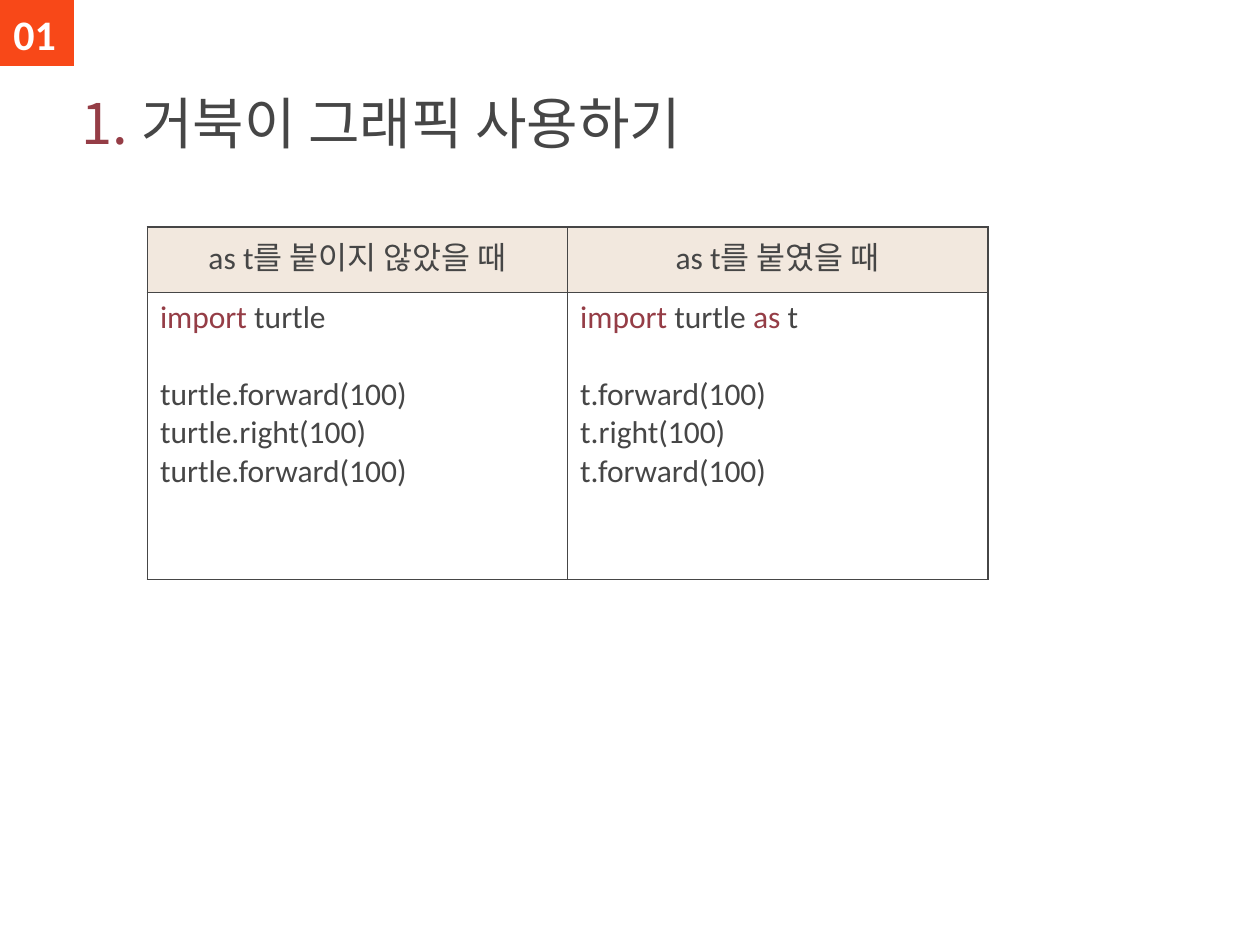
from typing import NamedTuple

from pptx import Presentation
from pptx.dml.color import RGBColor
from pptx.enum.shapes import MSO_SHAPE
from pptx.enum.text import MSO_ANCHOR, PP_ALIGN
from pptx.oxml.ns import qn
from pptx.util import Inches, Pt
from lxml import etree

CENTER = PP_ALIGN.CENTER
BOTTOM = MSO_ANCHOR.BOTTOM
PROCESS = MSO_SHAPE.FLOWCHART_PROCESS

LATIN, KOREAN = "Calibri", "Noto Sans CJK KR"
TEXT, ACCENT, ORANGE, BEIGE, WHITE = "464646", "953D46", "F84818", "F2E8DE", "FFFFFF"
KEYWORDS = ("import", "as")
TITLE_ONLY = 5
CODE_SIZE = 18
BLANK_LINE = Pt(22)


class Example(NamedTuple):
    heading: str
    import_line: list[str]
    calls: list[str]


EXAMPLES = [
    Example("as t를 붙이지 않았을 때", ["import", " turtle"],
            ["turtle.forward(100)", "turtle.right(100)", "turtle.forward(100)"]),
    Example("as t를 붙였을 때", ["import", " turtle ", "as", " t"],
            ["t.forward(100)", "t.right(100)", "t.forward(100)"]),
]


def rgb(value: str) -> RGBColor:
    return RGBColor.from_string(value)


def add_run(p, text: str, size: float, color: str = TEXT, font: str = LATIN, bold: bool = False) -> None:
    """Add a run with its Latin and East Asian fonts."""
    r = p.add_run()
    r.text = text
    r.font.name = font
    r.font.size = Pt(size)
    r.font.bold = bold
    r.font.color.rgb = rgb(color)
    etree.SubElement(r.font._element, qn("a:ea"), typeface=KOREAN)


def add_borders(cell) -> None:
    tc_pr = cell._tc.get_or_add_tcPr()
    for side in ("lnL", "lnR", "lnT", "lnB"):
        ln = etree.SubElement(tc_pr, qn(f"a:{side}"), w=str(Pt(1)))
        fill = etree.SubElement(ln, qn("a:solidFill"))
        etree.SubElement(fill, qn("a:srgbClr"), val=TEXT)


def add_title(s) -> None:
    title = s.shapes.title
    title.left, title.top = Inches(0.55), Inches(0.41)
    title.width, title.height = Inches(8.87), Inches(0.88)
    tf = title.text_frame
    tf.vertical_anchor = BOTTOM
    p = tf.paragraphs[0]
    p.alignment = PP_ALIGN.LEFT
    add_run(p, "1. ", 32, ACCENT, KOREAN)
    add_run(p, "거북이 그래픽 사용하기", 32, TEXT, KOREAN)


def add_badge(s, number: str) -> None:
    sp = s.shapes.add_shape(PROCESS, 0, 0, Inches(0.59), Inches(0.52))
    sp.shadow.inherit = False
    sp.fill.solid()
    sp.fill.fore_color.rgb = rgb(ORANGE)
    sp.line.fill.background()
    box = s.shapes.add_textbox(Inches(-0.12), Inches(0.02), Inches(0.79), Inches(0.5))
    box.text_frame.word_wrap = True
    p = box.text_frame.paragraphs[0]
    p.alignment = CENTER
    add_run(p, number, 24, WHITE, bold=True)


def fill_heading(cell, text: str) -> None:
    add_borders(cell)
    cell.fill.solid()
    cell.fill.fore_color.rgb = rgb(BEIGE)
    p = cell.text_frame.paragraphs[0]
    p.alignment = CENTER
    add_run(p, text, CODE_SIZE)


def fill_code(cell, example: Example) -> None:
    add_borders(cell)
    cell.fill.background()
    tf = cell.text_frame
    for part in example.import_line:
        add_run(tf.paragraphs[0], part, CODE_SIZE, ACCENT if part in KEYWORDS else TEXT)
    for call in example.calls:
        add_run(tf.add_paragraph(), call, CODE_SIZE)
    tf.paragraphs[1].space_before = BLANK_LINE


def add_comparison(s, examples: list[Example]) -> None:
    table = s.shapes.add_table(2, len(examples), Inches(1.17), Inches(1.8),
                               Inches(6.67), Inches(2.8)).table
    table.first_row = table.horz_banding = False
    table.rows[0].height, table.rows[1].height = Inches(0.52), Inches(2.28)
    for col, example in enumerate(examples):
        fill_heading(table.cell(0, col), example.heading)
        fill_code(table.cell(1, col), example)


def main() -> None:
    prs = Presentation()
    prs.slide_width, prs.slide_height = Inches(10), Inches(7.5)
    s = prs.slides.add_slide(prs.slide_layouts[TITLE_ONLY])
    add_title(s)
    add_badge(s, "01")
    add_comparison(s, EXAMPLES)
    prs.save("out.pptx")


if __name__ == "__main__":
    main()
